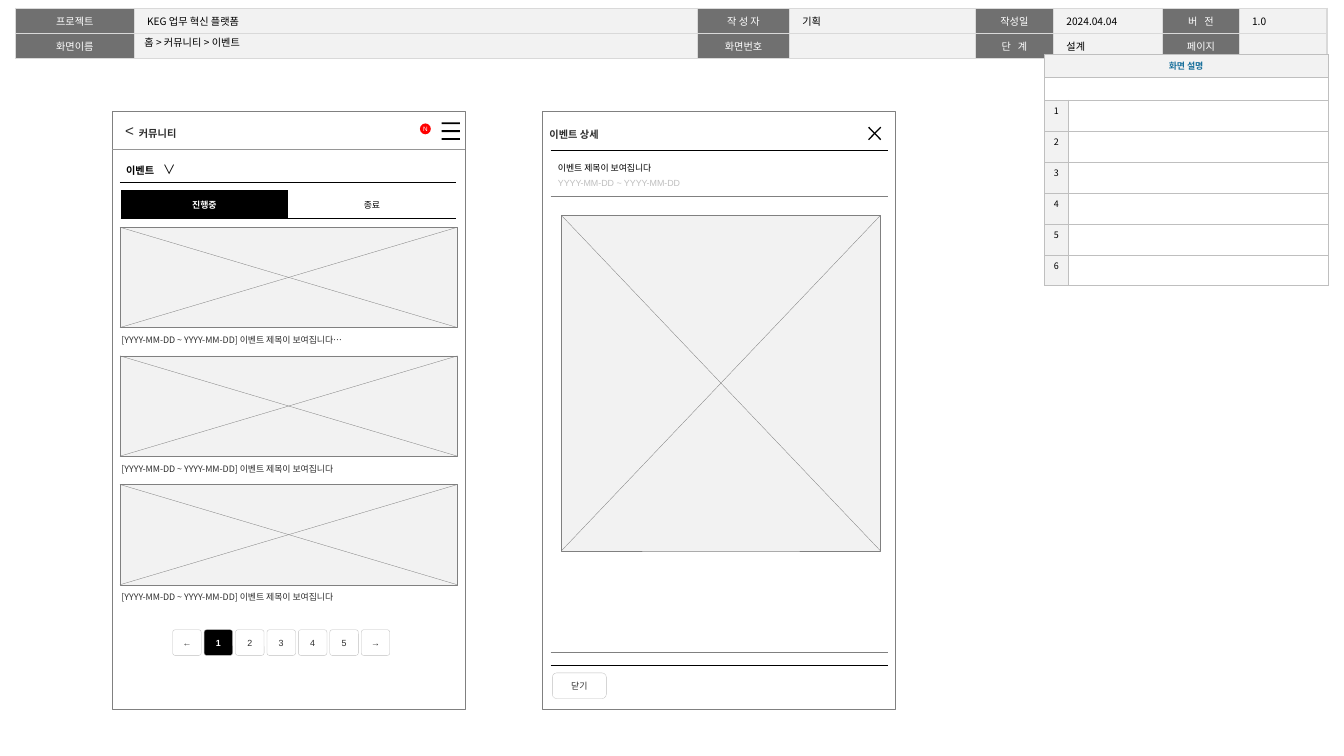
"""Builds the event page wireframe slide."""
from lxml import etree
from pptx import Presentation
from pptx.dml.color import RGBColor
from pptx.enum import shapes, text
from pptx.oxml import ns
from pptx.util import Pt

COLORS = {
    "white": "FFFFFF", "black": "000000", "ink": "2E2E2E", "label": "707070",
    "pale": "F2F2F2", "frame": "808080", "divider": "969696", "grid": "D9D9D9",
    "soft": "BFBFBF", "badge": "FF0000", "heading": "176F9B",
}
KOREAN = "Noto Sans CJK KR"
PLAIN_TABLE = "{2D5ABB26-0587-4C30-8999-92F81FD0307C}"
LEFT, CENTER = text.PP_ALIGN.LEFT, text.PP_ALIGN.CENTER
TOP, MIDDLE = text.MSO_ANCHOR.TOP, text.MSO_ANCHOR.MIDDLE
KIND = shapes.MSO_SHAPE


def rgb(name):
    return RGBColor.from_string(COLORS[name])


def apply(target, values):
    for name, value in values.items():
        setattr(target, name, value)


def style(size, color="black", face="Arial", bold=False, tracking=0):
    return {"size": size, "color": color, "face": face, "bold": bold, "tracking": tracking}


def margins(left, top, right, bottom):
    sides = ("left", "top", "right", "bottom")
    return {f"margin_{side}": Pt(value) for side, value in zip(sides, (left, top, right, bottom))}


def add_run(paragraph, content, look):
    run = paragraph.add_run()
    run.text = content
    apply(run.font, {"size": Pt(look["size"]), "bold": look["bold"], "name": look["face"]})
    run.font.color.rgb = rgb(look["color"])
    properties = run.font._element
    etree.SubElement(properties, ns.qn("a:ea"), typeface=KOREAN)
    if look["tracking"]:
        properties.set("spc", str(look["tracking"]))


def write(frame, lines, align=LEFT, spacing=1.0, tab=None):
    for index, runs in enumerate(lines):
        paragraph = frame.add_paragraph() if index else frame.paragraphs[0]
        apply(paragraph, {"alignment": align, "line_spacing": spacing, "space_before": Pt(0)})
        if tab:
            tabs = etree.SubElement(paragraph._p.get_or_add_pPr(), ns.qn("a:tabLst"))
            etree.SubElement(tabs, ns.qn("a:tab"), pos=str(Pt(tab)), algn="l")
        for content, look in runs:
            add_run(paragraph, content, look)


def add_text(slide, box, content, look, inset=7.2, spacing=1.0):
    frame = slide.shapes.add_textbox(*map(Pt, box)).text_frame
    apply(frame, {"word_wrap": True, **margins(inset, 3.6, inset, 3.6)})
    write(frame, [[(content, look)]], spacing=spacing)


def add_box(slide, kind, box, fill=None, line=None, width=0.25):
    shape = slide.shapes.add_shape(kind, *map(Pt, box))
    shape.shadow.inherit = False
    if fill:
        shape.fill.solid()
        shape.fill.fore_color.rgb = rgb(fill)
    else:
        shape.fill.background()
    if line:
        shape.line.color.rgb = rgb(line)
        shape.line.width = Pt(width)
    else:
        shape.line.fill.background()
    return shape


def add_label_box(slide, kind, box, content, look, fill, line=None, radius=None):
    shape = add_box(slide, kind, box, fill, line)
    if radius:
        shape.adjustments[0] = radius
    apply(shape.text_frame, {"word_wrap": False, "vertical_anchor": MIDDLE, **margins(0, 0, 0, 0)})
    write(shape.text_frame, [[(content, look)]], CENTER)


def add_line(slide, start, end, color, width):
    line = slide.shapes.add_connector(shapes.MSO_CONNECTOR.STRAIGHT, *map(Pt, (*start, *end)))
    line.line.color.rgb = rgb(color)
    line.line.width = Pt(width)
    etree.SubElement(line._element.spPr, ns.qn("a:effectLst"))


def add_cross(slide, box, color, width):
    left, top, across, down = box
    add_line(slide, (left, top), (left + across, top + down), color, width)
    add_line(slide, (left, top + down), (left + across, top), color, width)


def add_image_area(slide, box):
    add_box(slide, KIND.RECTANGLE, box, "pale", "frame")
    add_cross(slide, box, "frame", 0.25)


def add_grid(slide, left, top, columns, rows):
    box = (left, top, sum(columns), sum(rows))
    frame = slide.shapes.add_table(len(rows), len(columns), *map(Pt, box))
    table = frame.table
    apply(table, {"first_row": False, "horz_banding": False})
    table._tbl.tblPr[0].text = PLAIN_TABLE
    for column, width in zip(table.columns, columns):
        column.width = Pt(width)
    for row, height in zip(table.rows, rows):
        row.height = Pt(height)
    return table


def fill_cell(cell, lines, fill, edges, insets=(3, 3.6, 3, 3.6), anchor=MIDDLE, **layout):
    properties = cell._tc.get_or_add_tcPr()
    for side in "LRTB":
        if side in edges:
            color, width = edges[side]
            line = etree.SubElement(properties, ns.qn(f"a:ln{side}"), w=str(Pt(width)))
            solid = etree.SubElement(line, ns.qn("a:solidFill"))
            etree.SubElement(solid, ns.qn("a:srgbClr"), val=COLORS[color])
    cell.fill.solid()
    cell.fill.fore_color.rgb = rgb(fill)
    apply(cell, {"vertical_anchor": anchor, **margins(*insets)})
    write(cell.text_frame, lines, **layout)
    if not lines:
        cell.text_frame.paragraphs[0]._p.get_or_add_endParaRPr().set("sz", "200")


def add_header(slide):
    content = [
        ["프로젝트", "KEG 업무 혁신 플랫폼", "작 성 자", "기획", "작성일", "2024.04.04", "버 전", "1.0"],
        ["화면이름", "", "화면번호", "", "단 계", "설계", "페이지", ""],
    ]
    table = add_grid(slide, 12.2, 6.5, [93.6, 443.5, 72.6, 146, 62, 85.7, 60.5, 69], [19.9] * 2)
    edges = dict.fromkeys("LRTB", ("grid", 1))
    for row, values in enumerate(content):
        for column, value in enumerate(values):
            label = column % 2 == 0
            tracking = 180 if value in ("버 전", "단 계") else 0
            look = style(8, "white" if label else "black", KOREAN, tracking=tracking)
            fill_cell(table.cell(row, column), [[(value, look)]] if value else [],
                      "label" if label else "pale", edges, (10, 3.6, 10, 3.6), TOP,
                      align=CENTER if label else LEFT, spacing=1.05)


def add_title(slide):
    title = slide.shapes.title
    slide.shapes._spTree.append(title._element)
    apply(title, {"left": Pt(105.8), "top": Pt(27.4), "width": Pt(277), "height": Pt(11.5)})
    apply(title.text_frame, {"auto_size": text.MSO_AUTO_SIZE.NONE, "word_wrap": True,
                             "vertical_anchor": MIDDLE, **margins(7.9, 3.6, 7.9, 3.6)})
    write(title.text_frame, [[("홈 > 커뮤니티 > 이벤트", style(8, face=KOREAN))]])


def add_description(slide):
    table = add_grid(slide, 822.5, 42.7, [18.9, 204.2], [18] * 2 + [24.4] * 6)
    edges = dict.fromkeys("LRTB", ("soft", 0.25))
    for row in range(8):
        for column in range(2):
            lines, fill = [], "white"
            if row == 0:
                fill = "pale"
                lines = [] if column else [[("화면 설명", style(7, "heading", KOREAN, True))]]
            elif row > 1 and column == 0:
                fill, lines = "pale", [[(str(row - 1), style(7, face=KOREAN))]]
            fill_cell(table.cell(row, column), lines, fill, edges,
                      anchor=TOP if row else MIDDLE, align=CENTER)
    for row in range(2):
        table.cell(row, 0).merge(table.cell(row, 1))


def add_menu_icon(slide):
    left, right, thick = Pt(347.8), Pt(362.2), Pt(1.4)
    tops = [Pt(96.4 + 6.2 * index) for index in range(3)]
    builder = slide.shapes.build_freeform(left, tops[0])
    for top in tops:
        builder.move_to(left, top)
        builder.add_line_segments([(left, top + thick), (right, top + thick), (right, top)])
    icon = builder.convert_to_shape()
    icon.shadow.inherit = False
    icon.fill.solid()
    icon.fill.fore_color.rgb = rgb("black")
    icon.line.fill.background()


def add_list_screen(slide):
    add_box(slide, KIND.RECTANGLE, (88.6, 87.8, 278, 471), None, "frame", 0.5)
    add_line(slide, (88.6, 118), (366.5, 118), "divider", 0.5)
    add_label_box(slide, KIND.OVAL, (330.7, 97.2, 8.6, 8.6), "N", style(5, "white"), "badge")
    add_text(slide, (91.4, 92.2, 23, 21.6), "<", style(12, "ink"))
    add_menu_icon(slide)
    add_text(slide, (109.4, 92.2, 142.6, 20.2), "커뮤니티", style(8, "ink", bold=True), 0, 1.5)
    underline = {"B": ("black", 1)}
    dropdown = add_grid(slide, 94.3, 121.8, [60.5, 33.8, 47.5, 47.5, 75.6], [22.3])
    choice = [[("이벤트\t", style(8, bold=True)), ("∨", style(10))]]
    for column in range(5):
        fill_cell(dropdown.cell(0, column), [] if column else choice, "white", underline,
                  (5, 3.6, 3, 3.6), tab=None if column else 29)
    tabs = add_grid(slide, 95, 150, [132] * 2, [22.3])
    active, closed = style(7, "white", bold=True), style(7)
    fill_cell(tabs.cell(0, 0), [[("진행중", active)]], "black", underline, align=CENTER)
    fill_cell(tabs.cell(0, 1), [[("종료", closed)]], "white", underline, align=CENTER)
    for index, ending in enumerate(("…", "", "")):
        top = 179 + 101.3 * index
        add_image_area(slide, (94.5, top, 265.7, 79))
        add_text(slide, (88.6, top + 81, 247.7, 15.8),
                 "[YYYY-MM-DD ~ YYYY-MM-DD] 이벤트 제목이 보여집니다" + ending, style(7, "ink", KOREAN))
    for index, page in enumerate("←12345→"):
        current = page == "1"
        add_label_box(slide, KIND.ROUNDED_RECTANGLE, (136 + 24.75 * index, 496, 22.5, 20.2), page,
                      style(7, "white" if current else "ink", bold=current),
                      "black" if current else "white", "soft", 0.1)


def add_detail_screen(slide):
    add_box(slide, KIND.RECTANGLE, (427, 87.8, 278, 471), None, "frame", 0.5)
    add_cross(slide, (684, 100.2, 9.6, 9.8), "black", 1)
    add_text(slide, (432.7, 92.9, 142.6, 20.2), "이벤트 상세", style(8, "ink", bold=True), 0, 1.5)
    table = add_grid(slide, 433.6, 118.6, [139, 54.7, 72], [36, 359, 10.8])
    summary = [[("이벤트 제목이 보여집니다", style(7))], [("YYYY-MM-DD ~ YYYY-MM-DD", style(7, "soft"))]]
    edges = [{"T": ("black", 1), "B": ("frame", 0.25)}, {"T": ("frame", 0.25)}, {"B": ("black", 1)}]
    for row in range(3):
        for column in range(3):
            fill_cell(table.cell(row, column), [] if row or column else summary, "white",
                      edges[row], (5.8, 0, 0, 2.9), spacing=1.5)
    for row in (1, 2):
        table.cell(row, 0).merge(table.cell(row, 2))
    add_label_box(slide, KIND.ROUNDED_RECTANGLE, (435, 530, 42.5, 20.2), "닫기",
                  style(7, "ink"), "white", "soft")
    add_image_area(slide, (442, 169.5, 251.5, 264.5))


def main():
    presentation = Presentation()
    apply(presentation, {"slide_width": Pt(1058.4), "slide_height": Pt(595.44)})
    slide = presentation.slides.add_slide(presentation.slide_layouts[5])
    for build in (add_header, add_title, add_description, add_list_screen, add_detail_screen):
        build(slide)
    presentation.save("out.pptx")


if __name__ == "__main__":
    main()
